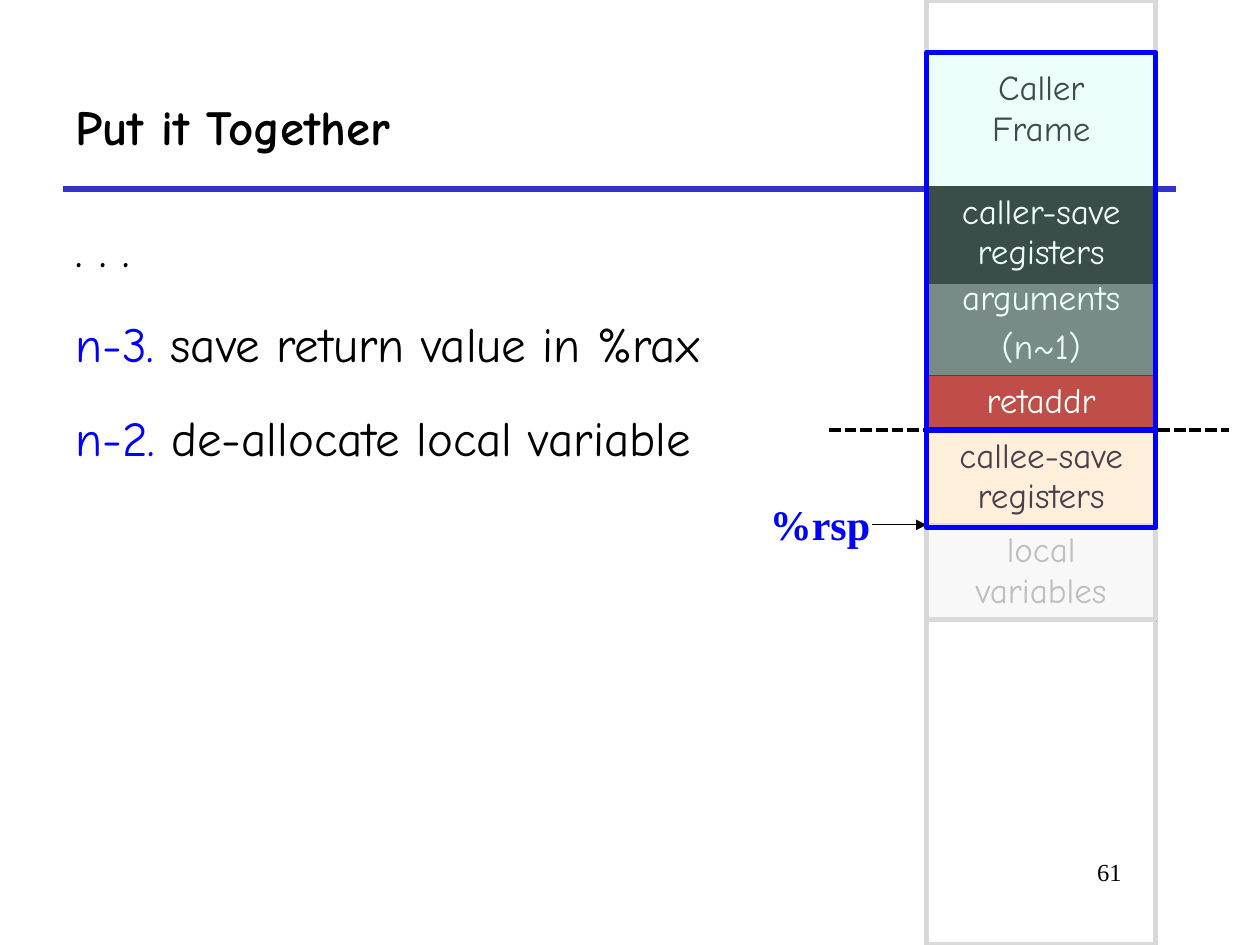
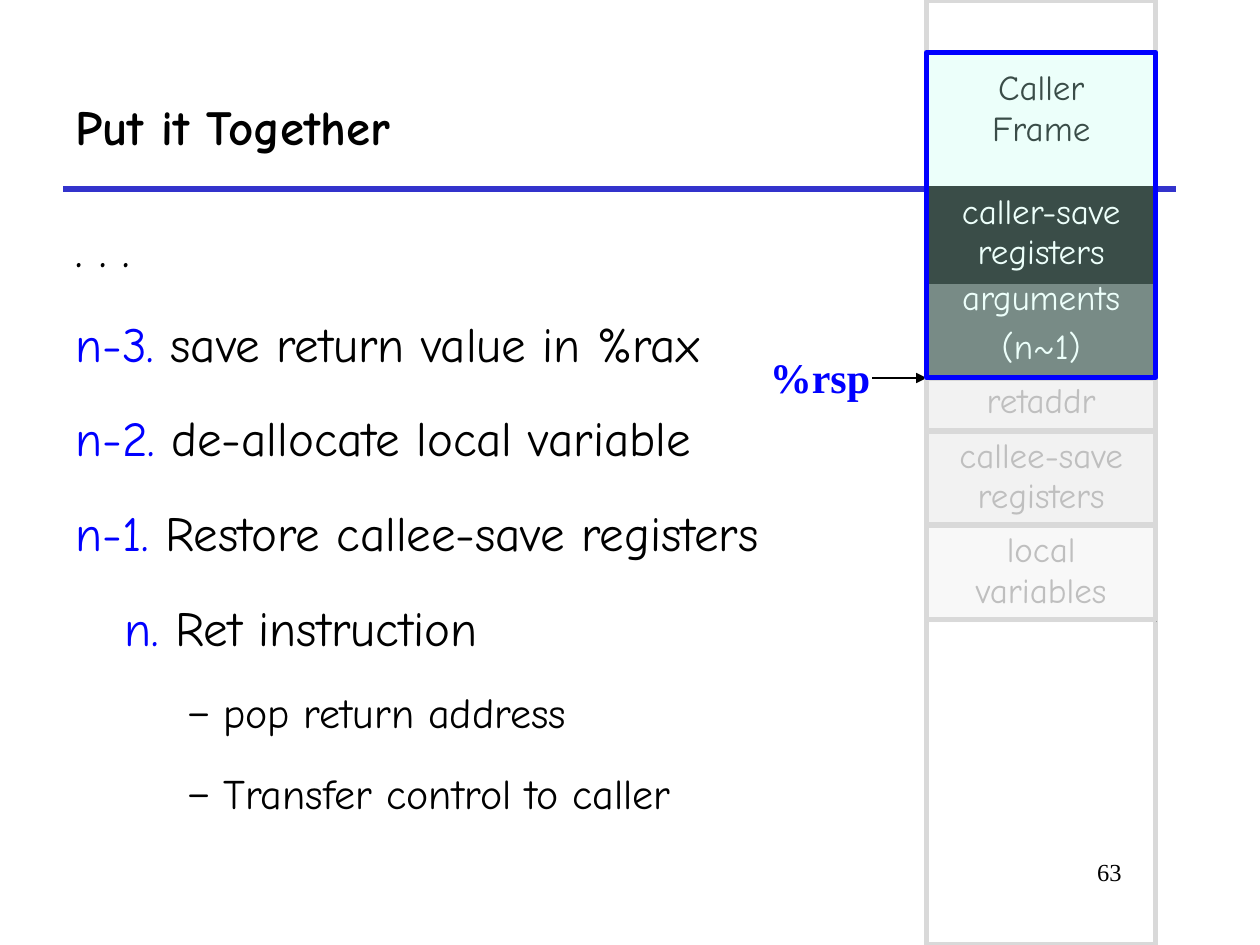
from dataclasses import dataclass

from lxml import etree
from pptx import Presentation
from pptx.dml.color import RGBColor
from pptx.enum.dml import MSO_LINE
from pptx.enum.shapes import MSO_CONNECTOR, MSO_SHAPE
from pptx.enum.text import MSO_ANCHOR, MSO_AUTO_SIZE, PP_ALIGN
from pptx.oxml.ns import qn
from pptx.util import Cm, Pt

RECT = MSO_SHAPE.RECTANGLE
LINE = MSO_CONNECTOR.STRAIGHT
DASH = MSO_LINE.SQUARE_DOT
MIDDLE = MSO_ANCHOR.MIDDLE
GROW = MSO_AUTO_SIZE.SHAPE_TO_FIT_TEXT
LEFT, RIGHT, CENTER = PP_ALIGN.LEFT, PP_ALIGN.RIGHT, PP_ALIGN.CENTER

HEX = {
    "black": "000000", "white": "FFFFFF", "blue": "0000FF", "rule": "3333CC",
    "grey": "D9D9D9", "faint": "BFBFBF", "pale": "F2F2F2", "dark": "595959",
    "red": "C00000", "cream": "FFFFCC", "mint": "C2FFF0", "pink": "FFCCFF",
}
COMIC, TIMES = "Comic Neue", "Times New Roman"
STACK_X, STACK_W = 18.68, 4.62


@dataclass
class Cell:
    top: float
    high: float
    text: str
    ink: str
    fill: str = ""
    alpha: int = 100
    inset: float = 0.13


@dataclass
class Frame:
    top: float
    high: float
    line: str = "grey"
    fill: str = ""


@dataclass
class Step:
    mark: str
    text: str
    indent: float = 0
    sub: bool = False


@dataclass
class Page:
    number: str
    steps: list[Step]
    cells: list[Cell]
    frames: list[Frame]
    pointer: float
    border: bool = False


def rgb(name: str) -> RGBColor:
    return RGBColor.from_string(HEX[name])


def paint(fill, name: str, alpha: int, node) -> None:
    if not name:
        fill.background()
        return
    fill.solid()
    fill.fore_color.rgb = rgb(name)
    if alpha < 100:
        tint = node.find(qn("a:solidFill")).find(qn("a:srgbClr"))
        etree.SubElement(tint, qn("a:alpha"), val=str(alpha * 1000))


def style(para, size: int, ink: str, face: str = COMIC, bold: bool = False,
          align=LEFT) -> None:
    para.alignment = align
    font = para.font
    font.size, font.name, font.bold = Pt(size), face, bold
    font.color.rgb = rgb(ink)


def add_text(slide, left: float, top: float, wide: float, high: float,
             text: str = "", wrap: bool = True):
    box = slide.shapes.add_textbox(Cm(left), Cm(top), Cm(wide), Cm(high))
    frame = box.text_frame
    frame.word_wrap = wrap
    frame.text = text
    return frame


def add_line(slide, start: tuple, end: tuple, ink: str, width: float):
    line = slide.shapes.add_connector(LINE, *map(Cm, start + end))
    line.line.color.rgb = rgb(ink)
    line.line.width = Pt(width)
    etree.SubElement(line._element.spPr, qn("a:effectLst"))
    return line


def add_frame(slide, frame: Frame) -> None:
    box = slide.shapes.add_shape(
        RECT, Cm(STACK_X), Cm(frame.top), Cm(STACK_W), Cm(frame.high))
    box.shadow.inherit = False
    paint(box.fill, frame.fill, 30, box._element.spPr)
    box.line.color.rgb = rgb(frame.line)
    box.line.width = Pt(3)


def add_cell(slide, item: Cell) -> None:
    table = slide.shapes.add_table(
        1, 1, Cm(STACK_X), Cm(item.top), Cm(STACK_W), Cm(item.high)).table
    table.first_row = table.horz_banding = False
    cell = table.cell(0, 0)
    cell.margin_left = cell.margin_right = Cm(0.25)
    cell.margin_top, cell.margin_bottom = Cm(item.inset), Cm(0.13)
    cell.text = item.text
    for i, para in enumerate(cell.text_frame.paragraphs):
        style(para, 20, item.ink, align=CENTER)
        if i:
            para.space_before = Pt(5)
    props = cell._tc.get_or_add_tcPr()
    for side in ("lnL", "lnR", "lnT"):
        edge = etree.SubElement(props, qn(f"a:{side}"), w=str(Pt(1.08)))
        solid = etree.SubElement(edge, qn("a:solidFill"))
        etree.SubElement(solid, qn("a:srgbClr"), val=HEX["black"])
    base = etree.SubElement(props, qn("a:lnB"), w="0")
    etree.SubElement(base, qn("a:noFill"))
    paint(cell.fill, item.fill, item.alpha, props)


def add_steps(slide, steps: list[Step]) -> None:
    body = add_text(slide, 1.27, 3.81, 24.13, 14.17)
    for i, step in enumerate(steps):
        para = body.add_paragraph() if i else body.paragraphs[0]
        para.line_spacing = 1.4
        if i:
            para.space_before = Pt(6 if step.sub else 7)
        props = para._p.get_or_add_pPr()
        props.set("marL", str(Cm(step.indent)))
        if step.sub:
            props.set("lvl", "1")
            props.set("indent", str(Cm(-0.74)))
            tint = etree.SubElement(props, qn("a:buClr"))
            etree.SubElement(tint, qn("a:srgbClr"), val=HEX["black"])
            etree.SubElement(props, qn("a:buFont"), typeface=COMIC)
            etree.SubElement(props, qn("a:buChar"), char="–")
        style(para, 24 if step.sub else 28, "black")
        if step.mark:
            run = para.add_run()
            run.text = step.mark + " "
            run.font.color.rgb = rgb("blue")
        para.add_run().text = step.text


def add_pointer(slide, level: float) -> None:
    label = add_text(slide, 15.27, level - 0.65, 2.6, 1.27, "%rsp", False)
    label.auto_size = GROW
    style(label.paragraphs[0], 24, "blue", TIMES, True)
    arrow = add_line(slide, (17.58, level), (STACK_X, level), "black", 0.75)
    etree.SubElement(arrow.line._get_or_add_ln(), qn("a:tailEnd"),
                     type="triangle")


def add_page(deck, page: Page) -> None:
    slide = deck.slides.add_slide(deck.slide_layouts[6])
    add_line(slide, (1.27, 3.81), (23.7, 3.81), "rule", 3)
    add_frame(slide, Frame(0, 19.05))
    number = add_text(slide, 19.25, 17.15, 3.61, 1.27, page.number)
    style(number.paragraphs[0], 14, "black", TIMES, align=RIGHT)
    title = add_text(slide, 1.27, 1.27, 22.43, 2.54, "Put it Together")
    title.vertical_anchor = MIDDLE
    style(title.paragraphs[0], 28, "black", bold=True)
    add_steps(slide, page.steps)
    for cell in page.cells:
        add_cell(slide, cell)
    if page.border:
        dash = add_line(slide, (16.71, 8.67), (24.77, 8.67), "black", 2.25)
        dash.line.dash_style = DASH
    add_pointer(slide, page.pointer)
    for frame in page.frames:
        add_frame(slide, frame)


def stack(ret: tuple, callee: tuple) -> list[Cell]:
    return [
        Cell(5.49, 2.13, "arguments\n(n~1)", "white", "dark"),
        Cell(3.76, 1.96, "caller-save registers", "white", "black"),
        Cell(7.57, 1.09, "retaddr", *ret),
        Cell(1.07, 7.62, "Caller\vFrame", "black", inset=0.33),
        Cell(8.67, 1.96, "callee-save registers", *callee),
        Cell(10.58, 1.96, "local variables", "faint", "faint", 10),
    ]


def main() -> None:
    deck = Presentation()
    deck.slide_width, deck.slide_height = Cm(25.4), Cm(19.05)
    freed = ("faint", "pale")
    local = Frame(10.59, 1.9)
    steps = [
        Step("", ". . ."),
        Step("n-3.", "save return value in %rax"),
        Step("n-2.", "de-allocate local variable"),
    ]
    final = [
        Step("n-1.", "Restore callee-save registers"),
        Step("n.", "Ret instruction", 0.99),
        Step("", "pop return address", 2.98, True),
        Step("", "Transfer control to caller", 2.98, True),
    ]
    pages = [
        Page("61", steps, stack(("white", "red"), ("black", "cream")),
             [Frame(1.06, 7.62, "blue", "mint"), local,
              Frame(8.67, 1.96, "blue", "pink")], 10.58, True),
        Page("63", steps + final, stack(freed, freed),
             [local, Frame(8.68, 1.9), Frame(7.62, 1.07),
              Frame(1.06, 6.55, "blue", "mint")], 7.62),
    ]
    for page in pages:
        add_page(deck, page)
    deck.save("out.pptx")


if __name__ == "__main__":
    main()
